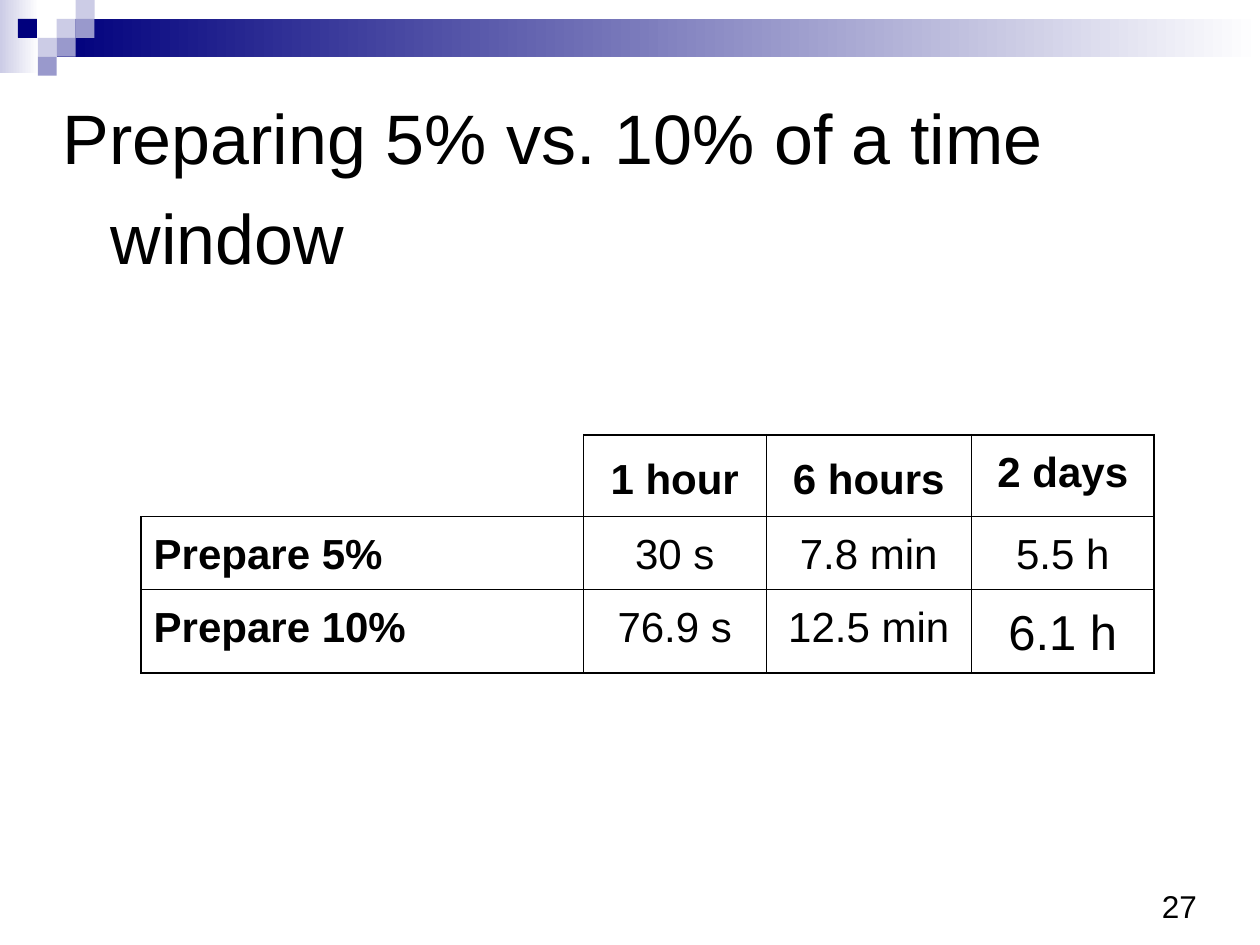
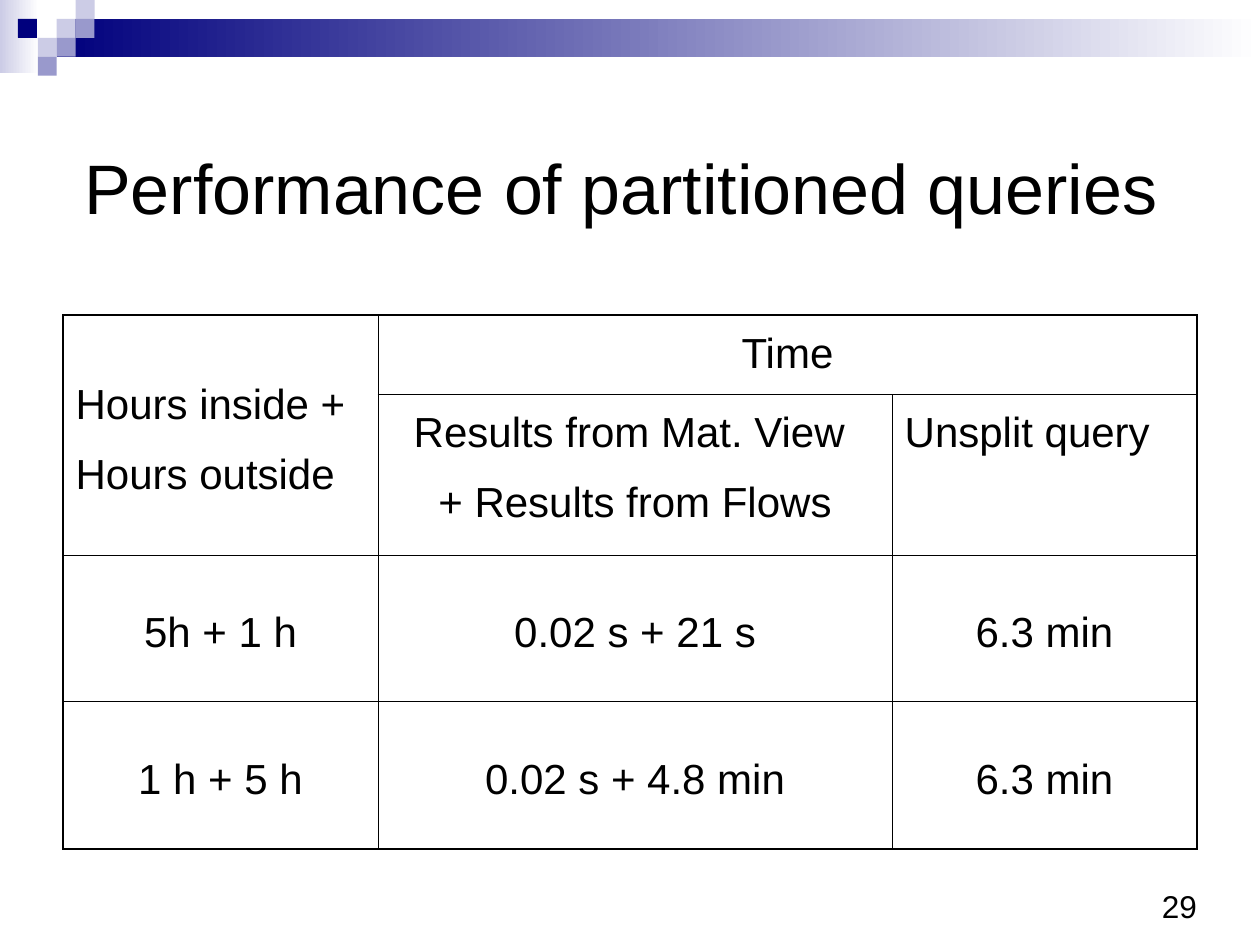
from pptx import Presentation
from pptx.dml.color import RGBColor
from pptx.enum.shapes import MSO_SHAPE
from pptx.enum.text import MSO_ANCHOR, PP_ALIGN
from pptx.util import Inches, Pt
from lxml.etree import SubElement
from pptx.oxml.ns import qn

BLACK, WHITE = "000000", "FFFFFF"
NAVY, MID, PALE = "00007D", "9999CC", "CCCCE6"
FONT = "Arial"
LEFT, CENTER, RIGHT = PP_ALIGN.LEFT, PP_ALIGN.CENTER, PP_ALIGN.RIGHT
TOP, MIDDLE = MSO_ANCHOR.TOP, MSO_ANCHOR.MIDDLE
THIN, THICK = 0.45, 1.08
NO_GRID = "{2D5ABB26-0587-4C30-8999-92F81FD0307C}"
UNIT = 0.15
RECT, ROUND = MSO_SHAPE.RECTANGLE, MSO_SHAPE.ROUNDED_RECTANGLE
TILES = [
    (3, 1, PALE, RECT), (4, 0, PALE, ROUND), (4, 1, MID, RECT),
    (2, 2, PALE, RECT), (0.95, 1, NAVY, ROUND),
    (3, 2, MID, ROUND), (2, 3, MID, ROUND),
]


def color(text):
    return RGBColor.from_string(text)


def inches(box):
    return [Inches(v) for v in box]


def write(para, text, size, align=LEFT, bold=False):
    para.alignment = align
    para.line_spacing = 1.19
    run = para.add_run()
    run.text = text
    font = run.font
    font.name, font.size, font.bold = FONT, Pt(size), bold
    font.color.rgb = color(BLACK)


def label(slide, box, text, size, align=LEFT):
    frame = slide.shapes.add_textbox(*inches(box)).text_frame
    frame.word_wrap = True
    frame.vertical_anchor = MIDDLE
    frame.margin_left = frame.margin_right = 0
    frame.margin_top = frame.margin_bottom = 0
    para = frame.paragraphs[0]
    write(para, text, size, align)
    props = para._p.get_or_add_pPr()
    props.set("marL", str(Inches(0.38)))
    props.set("indent", str(Inches(-0.38)))


def block(slide, box, tint, kind=RECT, fade=False):
    shape = slide.shapes.add_shape(kind, *inches(box))
    if kind == ROUND:
        shape.adjustments[0] = 0.01
    shape.shadow.inherit = False
    shape.line.fill.background()
    if fade:
        shape.fill.gradient()
        shape.fill.gradient_angle = 180
        for stop, tone, pos in zip(shape.fill.gradient_stops, (WHITE, tint), (0, 1)):
            stop.color.rgb = color(tone)
            stop.position = pos
    else:
        shape.fill.solid()
        shape.fill.fore_color.rgb = color(tint)


def band(slide):
    block(slide, (0, 0, 0.31, 0.58), PALE, fade=True)
    block(slide, (3 * UNIT, UNIT, 10 - 3 * UNIT, 2 * UNIT), NAVY, ROUND, True)
    for col, row, tint, kind in TILES:
        block(slide, (col * UNIT, row * UNIT, UNIT, UNIT), tint, kind)


def page(deck, title, left, number):
    slide = deck.slides.add_slide(deck.slide_layouts[6])
    slide.background.fill.solid()
    slide.background.fill.fore_color.rgb = color(WHITE)
    band(slide)
    label(slide, (0.5, 7, 9, 0.33), number, 18, RIGHT)
    label(slide, (left, 0.67, 9, 1.5), title, 40)
    return slide


def border(cell, sides):
    cell.fill.background()
    props = cell._tc.get_or_add_tcPr()
    lines = []
    for side, width in zip("LRTB", sides):
        if width:
            line = SubElement(props, qn("a:ln" + side), w=str(Pt(width)))
            fill = SubElement(line, qn("a:solidFill"))
            SubElement(fill, qn("a:srgbClr"), val=BLACK)
            lines.append(line)
    for spot, line in enumerate(lines):
        props.insert(spot, line)


def frame(table, row, col, bare):
    cell = table.cell(row, col)
    high = cell.span_height if cell.is_merge_origin else 1
    wide = cell.span_width if cell.is_merge_origin else 1
    inner = None if cell.is_spanned else THIN
    outer = None if bare else THICK
    border(cell, (
        outer if col == 0 else inner,
        THICK if col + wide == len(table.columns) else inner,
        outer if row == 0 else inner,
        THICK if row + high == len(table.rows) else inner,
    ))


def grid(slide, left, top, cols, rows, data, style, spans=()):
    box = inches((left, top, sum(cols), sum(rows)))
    table = slide.shapes.add_table(len(rows), len(cols), *box).table
    table.first_row = table.horz_banding = False
    table._tbl.tblPr.find(qn("a:tableStyleId")).text = NO_GRID
    for part, size in zip(table.columns, cols):
        part.width = Inches(size)
    for part, size in zip(table.rows, rows):
        part.height = Inches(size)
    for start, end in spans:
        table.cell(*start).merge(table.cell(*end))
    for row, line in enumerate(data):
        for col, text in enumerate(line):
            frame(table, row, col, text == "")
            if not text:
                continue
            cell = table.cell(row, col)
            align, anchor, bold, size = style(row, col)
            cell.vertical_anchor = anchor
            body = cell.text_frame
            for spot, words in enumerate(text.split("\n")):
                para = body.add_paragraph() if spot else body.paragraphs[0]
                write(para, words, size, align, bold)
                para.space_before = Pt(8)


def prepare(row, col):
    align = CENTER if col else LEFT
    anchor = MIDDLE if row == 0 and col < 3 else TOP
    size = 28 if (row, col) == (2, 3) else 24
    return align, anchor, row == 0 or col == 0, size


def split(row, col):
    align = LEFT if (row, col) in ((0, 0), (1, 2)) else CENTER
    anchor = MIDDLE if row > 1 or col == 0 else TOP
    return align, anchor, False, 24


def main():
    deck = Presentation()
    deck.slide_width, deck.slide_height = Inches(10), Inches(7.5)
    slide = page(deck, "Preparing 5% vs. 10% of a time window", 0.5, "27")
    grid(slide, 1.12, 3.45, (3.51, 1.45, 1.63, 1.45), (0.65, 0.58, 0.66), [
        ("", "1 hour", "6 hours", "2 days"),
        ("Prepare 5%", "30 s", "7.8 min", "5.5 h"),
        ("Prepare 10%", "76.9 s", "12.5 min", "6.1 h"),
    ], prepare)
    slide = page(deck, "Performance of partitioned queries", 0.67, "29")
    grid(slide, 0.5, 2.5, (2.5, 4.08, 2.42), (0.63, 1.28, 1.16, 1.17), [
        ("Hours inside +\nHours outside", "Time", None),
        (None, "Results from Mat. View \n+ Results from Flows", "Unsplit query"),
        ("5h + 1 h", "0.02 s + 21 s", "6.3 min"),
        ("1 h + 5 h", "0.02 s + 4.8 min", "6.3 min"),
    ], split, [((0, 0), (1, 0)), ((0, 1), (0, 2))])
    deck.save("out.pptx")


main()
